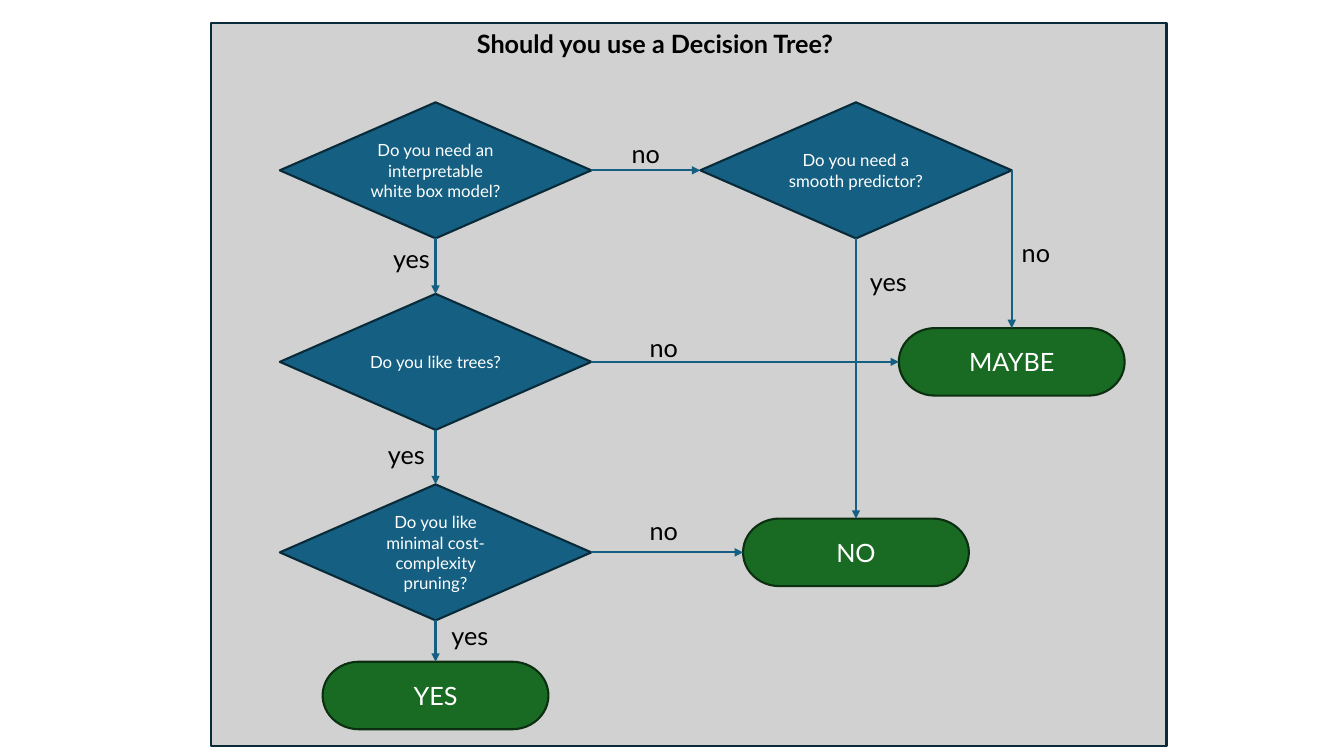
"""Builds a one-slide flowchart on whether to use a decision tree."""
from dataclasses import dataclass

from lxml.etree import SubElement
from pptx import Presentation
from pptx.dml.color import RGBColor
from pptx.enum.shapes import MSO_CONNECTOR, MSO_SHAPE
from pptx.enum.text import MSO_ANCHOR, MSO_AUTO_SIZE, PP_ALIGN
from pptx.oxml.ns import qn
from pptx.util import Inches, Pt

TITLE = "Should you use a Decision Tree?"

QUESTIONS = {
    "interpretable": ("Do you need an interpretable white box model?", 0, 0),
    "trees": ("Do you like trees?", 0, 1),
    "pruning": ("Do you like minimal cost-complexity pruning?", 0, 2),
    "smooth": ("Do you need a smooth predictor?", 1, 0),
}
ANSWERS = {
    "yes": ("YES", 0, 3),
    "no": ("NO", 1, 2),
    "maybe": ("MAYBE", 2, 1),
}

TOP, LEFT, BOTTOM, RIGHT = range(4)

# source, exit side, target, entry side, label, label offset from the arrow's start
ARROWS = [
    ("interpretable", RIGHT, "smooth", LEFT, "no", (0.30, -0.37)),
    ("interpretable", BOTTOM, "trees", TOP, "yes", (-0.52, 0)),
    ("trees", BOTTOM, "pruning", TOP, "yes", (-0.57, 0.04)),
    ("trees", RIGHT, "maybe", LEFT, "no", (0.48, -0.34)),
    ("pruning", BOTTOM, "yes", TOP, "yes", (0.06, -0.05)),
    ("pruning", RIGHT, "no", LEFT, "no", (0.48, -0.42)),
    ("smooth", BOTTOM, "no", TOP, "yes", (0.04, 0.23)),
    ("smooth", RIGHT, "maybe", TOP, "no", (0, 0.62)),
]


@dataclass(frozen=True)
class Theme:
    """Colours, font and type sizes."""
    font: str = "Lato"
    panel: str = "D1D1D1"
    question: str = "156082"
    question_edge: str = "092A39"
    answer: str = "196B24"
    answer_edge: str = "0B2F10"
    light: str = "FFFFFF"
    dark: str = "000000"
    small: int = 12
    large: int = 18
    stroke: float = 1.5


THEME = Theme()
SLIDE_SIZE = (13.33, 7.5)
PANEL = (2.09, 0.23, 9.48, 7.17)
TITLE_BOX = (4.63, 0.23, 3.86, 0.4)
QUESTION_SIZE = (3.09, 1.35)
ANSWER_SIZE = (2.24, 0.67)
LABEL_WIDTHS = {"yes": 0.57, "no": 0.48}
LABEL_HEIGHT = 0.4
COLUMNS = [4.32, 8.49, 8.49 + QUESTION_SIZE[0] / 2]
ROWS = [1.69, 3.59, 5.48, 6.9]


def color(value):
    return RGBColor.from_string(value)


def write(frame, text, size, ink, align, bold=False):
    frame.text = text
    paragraph = frame.paragraphs[0]
    paragraph.alignment = align
    paragraph.font.name = THEME.font
    paragraph.font.size = Pt(size)
    paragraph.font.bold = bold
    paragraph.font.color.rgb = color(ink)


def add_box(slide, kind, bounds, fill, edge):
    box = slide.shapes.add_shape(kind, *map(Inches, bounds))
    box.shadow.inherit = False
    box.fill.solid()
    box.fill.fore_color.rgb = color(fill)
    box.line.color.rgb = color(edge)
    box.line.width = Pt(THEME.stroke)
    return box


def add_nodes(slide, nodes, kind, extent, fill, edge, size):
    width, height = extent
    boxes = {}
    for name, (text, column, row) in nodes.items():
        bounds = (COLUMNS[column] - width / 2, ROWS[row] - height / 2, width, height)
        box = add_box(slide, kind, bounds, fill, edge)
        box.text_frame.word_wrap = True
        box.text_frame.vertical_anchor = MSO_ANCHOR.MIDDLE
        write(box.text_frame, text, size, THEME.light, PP_ALIGN.CENTER)
        boxes[name] = box
    return boxes


def add_arrow(slide, source, exit_side, target, entry_side):
    arrow = slide.shapes.add_connector(MSO_CONNECTOR.STRAIGHT, 0, 0, 0, 0)
    arrow.begin_connect(source, exit_side)
    arrow.end_connect(target, entry_side)
    arrow.line.color.rgb = color(THEME.question)
    arrow.line.width = Pt(THEME.stroke)
    SubElement(arrow.line._get_or_add_ln(), qn("a:tailEnd"), type="triangle")
    SubElement(arrow.element.spPr, qn("a:effectLst"))
    return arrow


def add_label(slide, arrow, text, offset):
    across, down = map(Inches, offset)
    label = slide.shapes.add_textbox(
        arrow.begin_x + across, arrow.begin_y + down,
        Inches(LABEL_WIDTHS[text]), Inches(LABEL_HEIGHT))
    label.text_frame.word_wrap = False
    write(label.text_frame, text, THEME.large, THEME.dark, PP_ALIGN.LEFT)


def format_title(slide):
    title = slide.shapes.title
    title.left, title.top, title.width, title.height = map(Inches, TITLE_BOX)
    frame = title.text_frame
    frame.word_wrap = False
    frame.auto_size = MSO_AUTO_SIZE.NONE
    frame.vertical_anchor = MSO_ANCHOR.TOP
    write(frame, TITLE, THEME.large, THEME.dark, PP_ALIGN.LEFT, bold=True)
    return title


def main():
    deck = Presentation()
    deck.slide_width, deck.slide_height = map(Inches, SLIDE_SIZE)
    slide = deck.slides.add_slide(deck.slide_layouts.get_by_name("Title Only"))

    title = format_title(slide)
    panel = add_box(slide, MSO_SHAPE.RECTANGLE, PANEL, THEME.panel, THEME.question_edge)
    title.element.addprevious(panel.element)

    boxes = add_nodes(slide, QUESTIONS, MSO_SHAPE.FLOWCHART_DECISION, QUESTION_SIZE,
                      THEME.question, THEME.question_edge, THEME.small)
    boxes |= add_nodes(slide, ANSWERS, MSO_SHAPE.FLOWCHART_TERMINATOR, ANSWER_SIZE,
                       THEME.answer, THEME.answer_edge, THEME.large)

    for source, exit_side, target, entry_side, text, offset in ARROWS:
        arrow = add_arrow(slide, boxes[source], exit_side, boxes[target], entry_side)
        add_label(slide, arrow, text, offset)

    deck.save("out.pptx")


if __name__ == "__main__":
    main()
